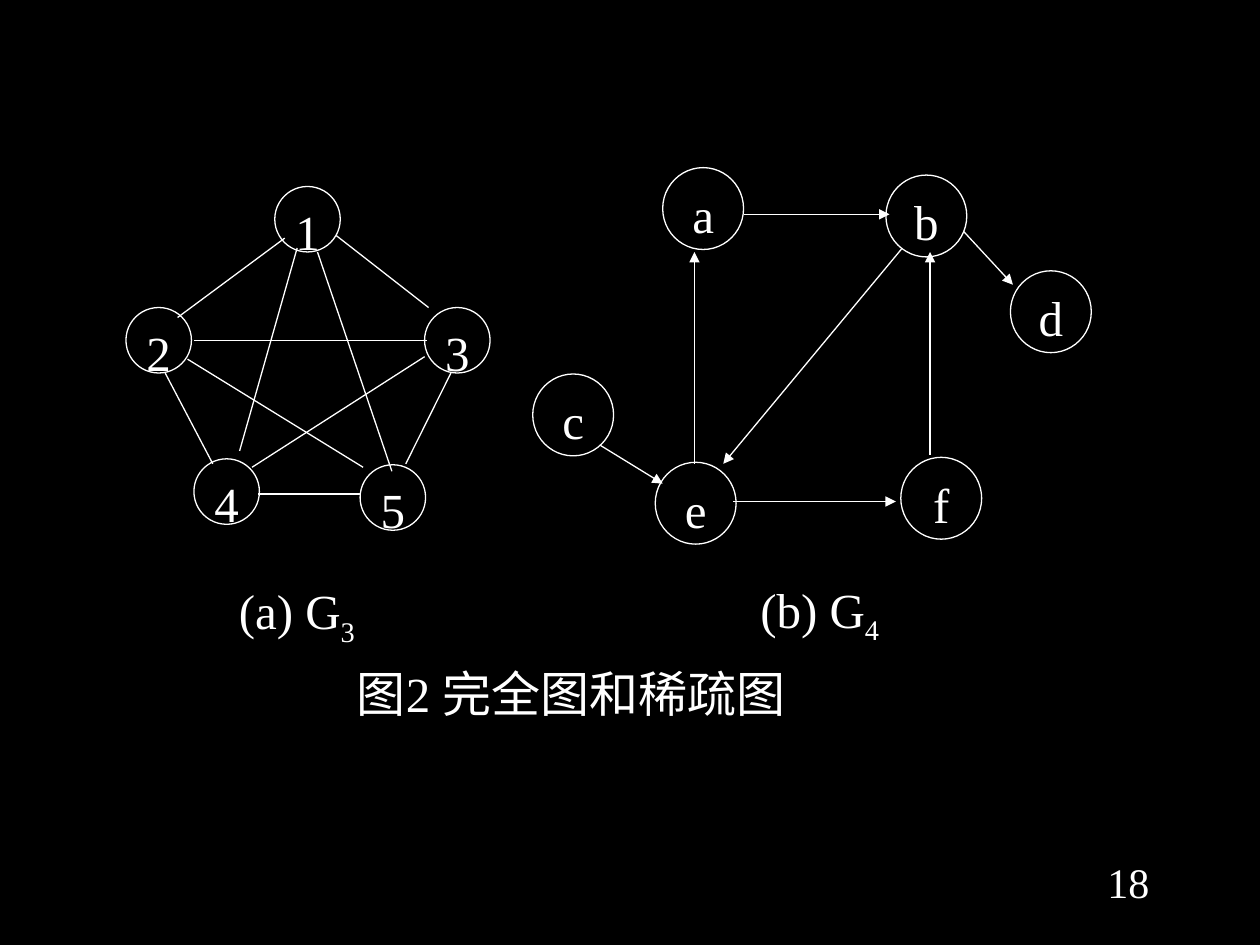
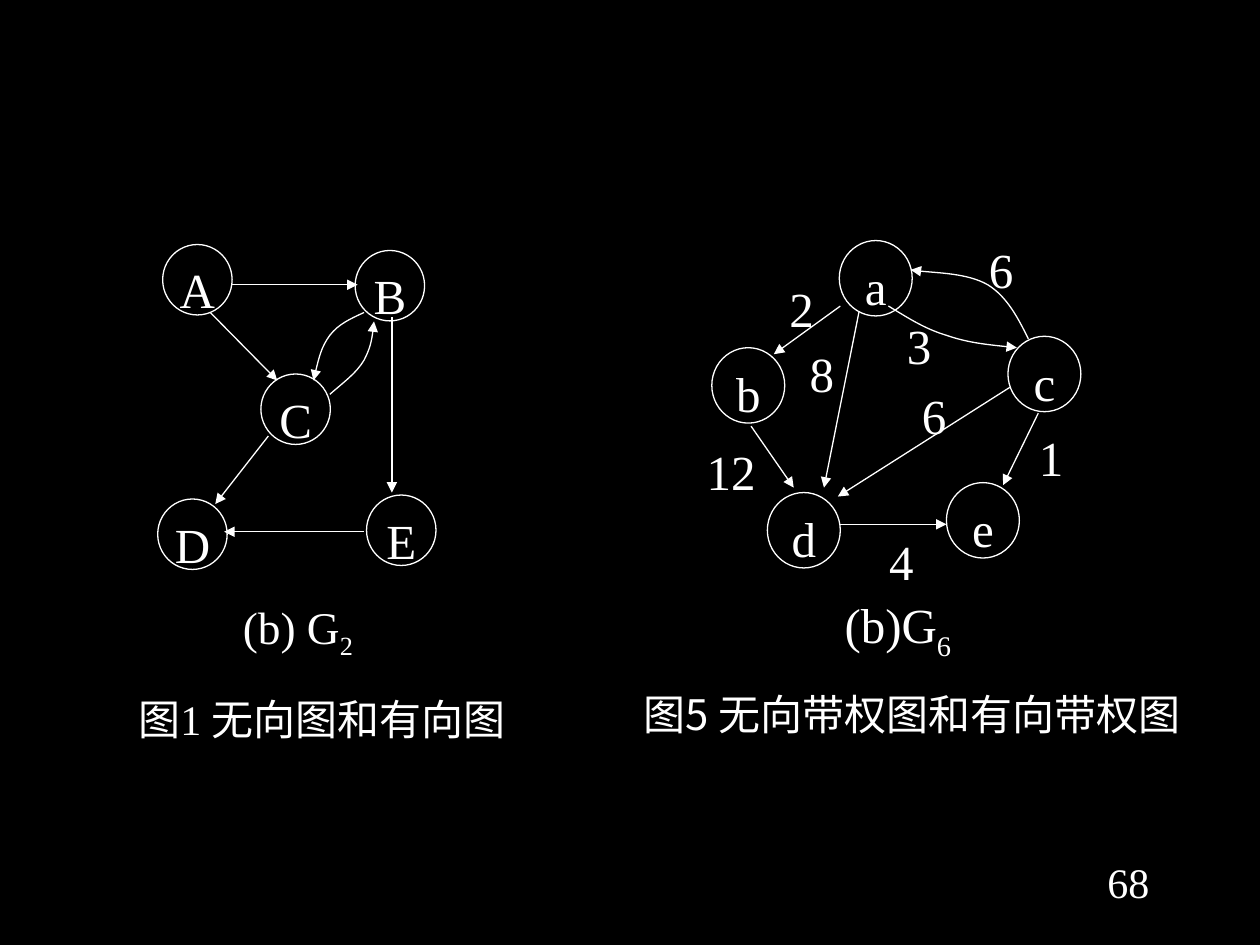
from lxml import etree
from pptx import Presentation
from pptx.dml.color import RGBColor
from pptx.enum import shapes as sh, text as tx
from pptx.oxml.ns import qn
from pptx.util import Cm, Pt

BLACK = RGBColor(0, 0, 0)
WHITE = RGBColor(255, 255, 255)
SERIF = "Times New Roman"
SANS = "Noto Sans CJK SC"
PAGE_BOX = (21.79, 17.09, 1.91, 1.27)
WEIGHT_SIZE = (1.24, 1.27)

# All places are in centimetres. Nodes give left and top; edges run from, to;
# each curve is a start point followed by two cubic Bézier pieces.
G2 = dict(
    size=(1.40, 1.42), arrow=True,
    nodes=[("A", 3.28, 4.93), ("B", 7.16, 5.05), ("C", 5.26, 7.54),
           ("E", 7.39, 9.98), ("D", 3.18, 10.06)],
    edges=[(4.67, 5.74, 7.21, 5.74), (4.24, 6.30, 5.59, 7.67),
           (5.41, 8.79, 4.34, 10.16), (7.34, 10.72, 4.52, 10.72),
           (7.90, 6.40, 7.90, 9.93)],
    curves=[
        [(7.34, 6.30), (7.06, 6.43), (6.83, 6.53), (6.65, 6.76),
         (6.48, 6.99), (6.40, 7.32), (6.32, 7.67)],
        [(6.65, 7.95), (6.91, 7.72), (7.19, 7.52), (7.34, 7.26),
         (7.47, 7.01), (7.52, 6.73), (7.54, 6.48)]],
)
G3 = dict(
    size=(1.32, 1.32), arrow=False,
    nodes=[("1", 5.54, 3.76), ("2", 2.54, 6.20), ("3", 8.56, 6.20),
           ("4", 3.91, 9.25), ("5", 7.26, 9.37)],
    edges=[(5.74, 4.80, 3.58, 6.40), (3.33, 7.52, 4.29, 9.35),
           (6.78, 4.75, 8.64, 6.20), (9.09, 7.52, 8.18, 9.35),
           (5.99, 5.00, 4.83, 9.09), (6.40, 5.08, 7.90, 9.50),
           (5.21, 9.96, 7.26, 9.96), (3.78, 7.24, 7.32, 9.42),
           (5.08, 9.42, 8.56, 7.19), (3.91, 6.86, 8.61, 6.86)],
)
G4 = dict(
    size=(1.63, 1.65), arrow=True,
    nodes=[("a", 13.36, 3.38), ("b", 17.86, 3.53), ("c", 10.74, 7.54),
           ("f", 18.16, 9.22), ("e", 13.21, 9.32), ("d", 20.37, 5.46)],
    edges=[(14.99, 4.32, 17.93, 4.32), (14.78, 10.11, 18.06, 10.11),
           (18.75, 9.17, 18.75, 5.08), (14.00, 9.35, 14.00, 5.08),
           (12.09, 8.97, 13.36, 9.75), (19.43, 4.67, 20.42, 5.74),
           (18.19, 5.00, 14.58, 9.35)],
)
G6 = dict(
    size=(1.47, 1.52), arrow=True,
    nodes=[("b", 14.35, 7.01), ("a", 16.92, 4.85), ("d", 15.47, 9.93),
           ("c", 20.32, 6.78), ("e", 19.08, 9.73)],
    edges=[(16.94, 6.17, 15.60, 7.14), (15.14, 8.59, 16.00, 9.83),
           (20.93, 8.33, 20.22, 9.78), (20.37, 7.80, 16.89, 10.01),
           (17.32, 6.27, 16.61, 9.83), (16.94, 10.57, 19.08, 10.57)],
    curves=[
        [(20.73, 6.83), (20.52, 6.40), (20.29, 5.97), (19.91, 5.74),
         (19.51, 5.51), (18.59, 5.49), (18.36, 5.44)],
        [(17.91, 6.17), (18.29, 6.40), (18.64, 6.63), (19.08, 6.76),
         (19.51, 6.91), (20.02, 6.96), (20.50, 7.01)]],
    weights=[("1", 20.57, 8.51), ("4", 17.55, 10.62), ("6", 18.21, 7.67),
             ("3", 17.91, 6.27), ("8", 15.95, 6.83), ("2", 15.54, 5.51),
             ("6", 19.56, 4.72), ("12", 14.12, 8.81)],
)
# Each label: box, text, subscript, size, font, line spacing.
SLIDES = [
    dict(page="18", graphs=[G3, G4], labels=[
        ((3.66, 11.61, 4.65, 1.45), "(a) G", "3", 28, SERIF, 1),
        ((14.20, 11.58, 4.65, 1.45), "(b) G", "4", 28, SERIF, 1),
        ((6.86, 13.28, 9.30, 1.32), "图2 完全图和稀疏图", "", 28, SERIF, 1)]),
    dict(page="68", graphs=[G2, G6], labels=[
        ((4.01, 11.99, 3.99, 1.24), "(b) G", "2", 25.9, SERIF, 0.9),
        ((16.18, 11.89, 3.84, 1.45), "(b)G", "6", 28, SERIF, 1),
        ((1.91, 13.89, 9.17, 1.14), "图1 无向图和有向图", "", 24, SERIF, 1),
        ((12.65, 13.77, 11.48, 1.50), "图5 无向带权图和有向带权图", "",
         24, SANS, 1)]),
]


def write(shape, words, sub="", size=28, face=SERIF, space=1, pad=(0, 0.1)):
    """Put centred white text at the top of a shape, with an optional subscript."""
    frame = shape.text_frame
    frame.word_wrap = True
    frame.vertical_anchor = tx.MSO_ANCHOR.TOP
    frame.margin_left = frame.margin_right = Cm(pad[0])
    frame.margin_top, frame.margin_bottom = Cm(pad[1]), 0
    para = frame.paragraphs[0]
    para.text = words
    para.alignment = tx.PP_ALIGN.CENTER
    para.line_spacing = space
    if sub:
        para.add_run().text = sub
        para.runs[-1].font._element.set("baseline", "-25000")
    for run in para.runs:
        font = run.font
        font.size, font.name = Pt(size), face
        font.color.rgb = WHITE
        etree.SubElement(font._element, qn("a:ea")).set("typeface", SANS)


def label(slide, box, *args, **opts):
    write(slide.shapes.add_textbox(*map(Cm, box)), *args, **opts)


def ink(shape, arrow=False):
    """Give a thin white line, and an arrowhead at its end if asked."""
    shape.line.color.rgb = WHITE
    shape.line.width = Pt(0.75)
    if arrow:
        tail = etree.SubElement(shape.line._get_or_add_ln(), qn("a:tailEnd"))
        tail.set("type", "triangle")


def node(slide, name, left, top, size):
    oval = slide.shapes.add_shape(
        sh.MSO_SHAPE.OVAL, *map(Cm, (left, top, *size)))
    oval.shadow.inherit = False
    oval.fill.background()
    ink(oval)
    write(oval, name)


def edge(slide, ends, arrow):
    line = slide.shapes.add_connector(
        sh.MSO_CONNECTOR.STRAIGHT, *map(Cm, ends))
    ink(line, arrow)
    etree.SubElement(line._element.spPr, qn("a:effectLst"))


def curve(slide, points, arrow):
    """Draw a freeform and turn each three line pieces into one Bézier piece."""
    start, *rest = [(Cm(x), Cm(y)) for x, y in points]
    form = slide.shapes.build_freeform(*start)
    form.add_line_segments(rest, close=False)
    shape = form.convert_to_shape()
    shape.shadow.inherit = False
    shape.fill.background()
    ink(shape, arrow)
    route = next(shape._element.iter(qn("a:path")))
    steps = route.findall(qn("a:lnTo"))
    for i in range(0, len(steps), 3):
        piece = etree.SubElement(route, qn("a:cubicBezTo"))
        for step in steps[i:i + 3]:
            piece.append(step[0])
            route.remove(step)


def draw(slide, graph):
    for item in graph["nodes"]:
        node(slide, *item, graph["size"])
    for ends in graph["edges"]:
        edge(slide, ends, graph["arrow"])
    for points in graph.get("curves", []):
        curve(slide, points, graph["arrow"])
    for value, left, top in graph.get("weights", []):
        label(slide, (left, top, *WEIGHT_SIZE), value)


def main():
    deck = Presentation()
    deck.slide_width, deck.slide_height = Cm(25.4), Cm(19.05)
    back = deck.slide_master.background.fill
    back.solid()
    back.fore_color.rgb = BLACK
    for page in SLIDES:
        slide = deck.slides.add_slide(deck.slide_layouts[6])
        label(slide, PAGE_BOX, page["page"], size=24, pad=(0.25, 0.18))
        for graph in page["graphs"]:
            draw(slide, graph)
        for box, *args in page["labels"]:
            label(slide, box, *args)
    deck.save("out.pptx")


if __name__ == "__main__":
    main()
